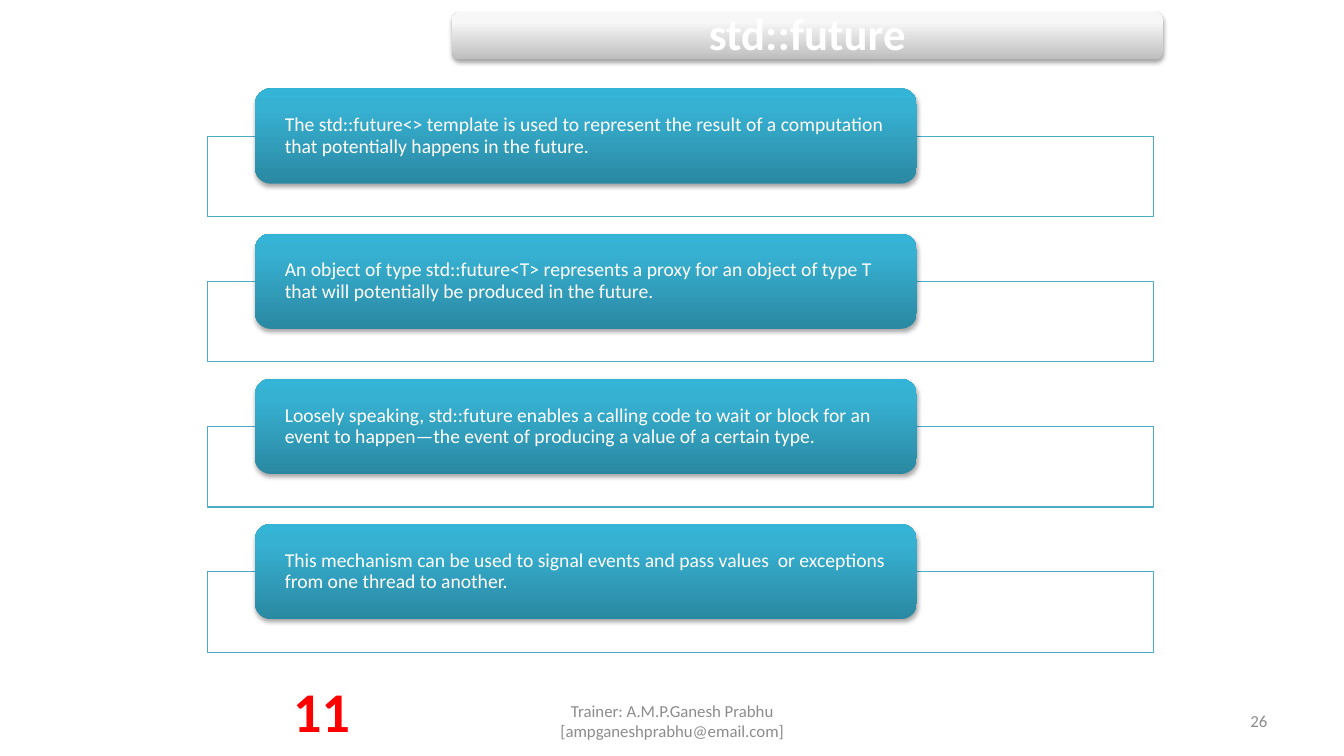
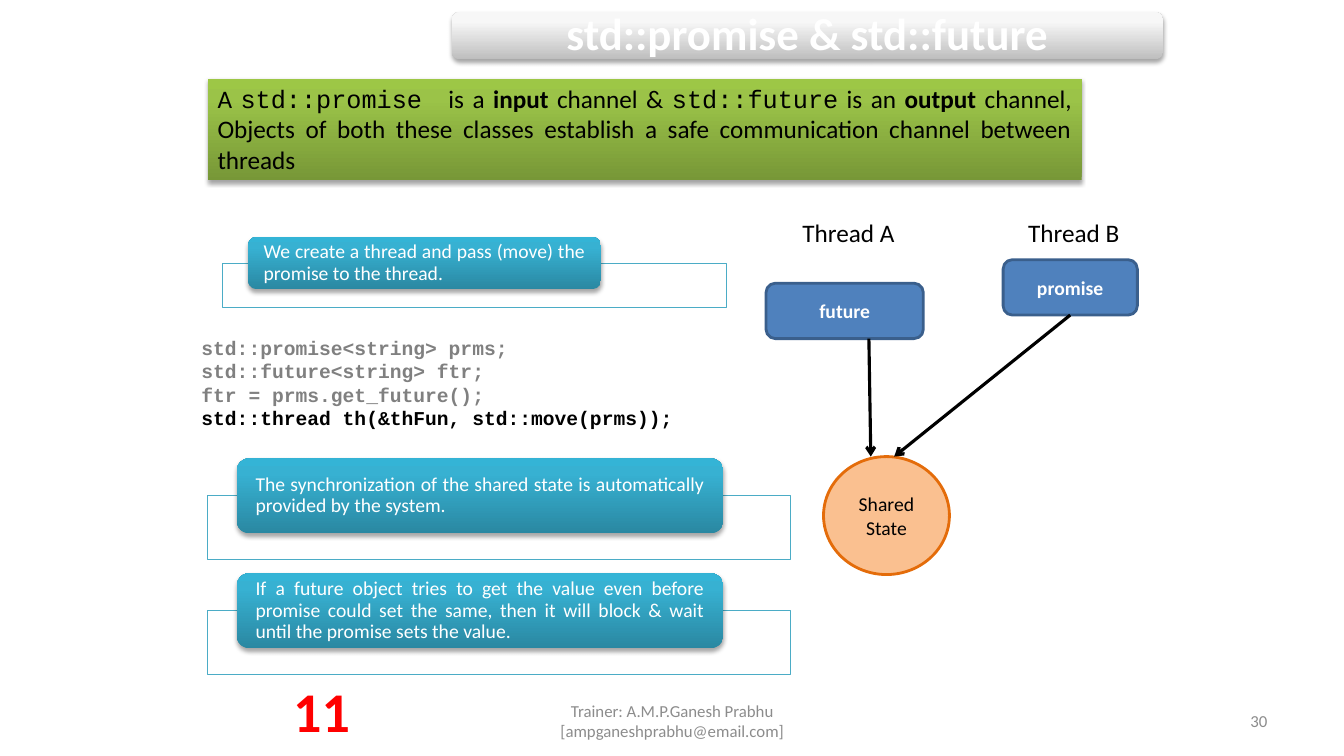
from copy import deepcopy
from dataclasses import dataclass

from lxml import etree
from pptx import Presentation
from pptx.dml.color import RGBColor
from pptx.enum.shapes import MSO_CONNECTOR, MSO_SHAPE
from pptx.enum.text import MSO_ANCHOR, PP_ALIGN
from pptx.oxml.ns import qn
from pptx.util import Inches, Pt

RECTANGLE, ROUNDED, OVAL = MSO_SHAPE.RECTANGLE, MSO_SHAPE.ROUNDED_RECTANGLE, MSO_SHAPE.OVAL
STRAIGHT = MSO_CONNECTOR.STRAIGHT
TOP, MIDDLE = MSO_ANCHOR.TOP, MSO_ANCHOR.MIDDLE
LEFT, CENTER, RIGHT, JUSTIFY = PP_ALIGN.LEFT, PP_ALIGN.CENTER, PP_ALIGN.RIGHT, PP_ALIGN.JUSTIFY
BOTTOM_SIDE = 2

BLACK, WHITE, RED, GRAY, CODE_GRAY = "000000", "FFFFFF", "FF0000", "8C8C8C", "808080"
OUTLINE_TEAL, BLUE, DARK_BLUE = "4BACC6", "4F81BD", "3A5F8C"
PEACH, ORANGE = "FAC090", "E46C0A"
TEAL_GRADIENT = ((0, "2A88A2"), (0.8, "37B1D2"), (1, "34B4D6"))
SILVER_GRADIENT = ((0, "BEBEBE"), (0.8, "F7F7F7"), (1, "F8F8F8"))
GREEN_GRADIENT = ((0, "779737"), (0.8, "9BC348"), (1, "9DC746"))

TITLE = {"size": Pt(32), "bold": True, "color": WHITE}
CARD = {"size": Pt(14), "color": WHITE}
NODE = {"size": Pt(14), "bold": True, "color": WHITE}
STATE = {"size": Pt(14), "color": BLACK}
BODY = {"size": Pt(18), "color": BLACK}
FOOTER = {"size": Pt(12), "color": GRAY}
BADGE = {"size": Pt(40), "bold": True, "color": RED}
CODE = {"size": Pt(14), "bold": True, "color": CODE_GRAY, "name": "Courier New"}
INLINE_CODE = {"name": "Courier New"}
STRONG = {"bold": True}

FOOTER_TEXT = "Trainer: A.M.P.Ganesh Prabhu [ampganeshprabhu@email.com]"
FUTURE_POINTS = [
    "The std::future<> template is used to represent the result of a computation "
    "that potentially happens in the future.",
    "An object of type std::future<T> represents a proxy for an object of type T "
    "that will potentially be produced in the future.",
    "Loosely speaking, std::future enables a calling code to wait or block for an "
    "event to happen—the event of producing a value of a certain type.",
    "This mechanism can be used to signal events and pass values  or exceptions "
    "from one thread to another.",
]
THREAD_POINTS = ["We create a thread and pass (move) the promise to the thread."]
STATE_POINTS = [
    "The synchronization of the shared state is automatically provided by the system.",
    "If a future object tries to get the value even before promise could set the same, "
    "then it will block & wait until the promise sets the value.",
]
CHANNEL_TEXT = [
    ("A ", {}), ("std::promise ", INLINE_CODE), (" is a ", {}), ("input", STRONG),
    (" channel & ", {}), ("std::future", INLINE_CODE), (" is an ", {}), ("output", STRONG),
    (" channel, Objects of both these classes establish a safe communication channel "
     "between threads", {}),
]
CODE_LINES = [
    "std::promise<string> prms;",
    "std::future<string> ftr;",
    "ftr = prms.get_future();",
    [("std::thread th(&thFun, std::move(prms));", {"color": BLACK})],
]


@dataclass
class Box:
    """A rectangle in inches; areas inside it are given in percent of its size."""
    left: float
    top: float
    width: float
    height: float

    def point(self, across, down):
        return self.left + self.width * across / 100, self.top + self.height * down / 100

    def area(self, left, top, width, height):
        return Box(*self.point(left, top), self.width * width / 100, self.height * height / 100)

    def lengths(self):
        return [Inches(value) for value in (self.left, self.top, self.width, self.height)]


PAGE = Box(0, 0, 13.33, 7.5)


def rgb(color):
    return RGBColor.from_string(color)


def write(shape, paragraphs, style, align=LEFT, anchor=TOP, insets=(0.1, 0.05), spacing=None):
    """Fill a shape with paragraphs, each a string or a list of (text, overrides)."""
    frame = shape.text_frame
    side, edge = map(Inches, insets)
    settings = {"word_wrap": True, "vertical_anchor": anchor, "margin_left": side,
                "margin_right": side, "margin_top": edge, "margin_bottom": edge}
    for name, value in settings.items():
        setattr(frame, name, value)
    for index, content in enumerate(paragraphs):
        paragraph = frame.add_paragraph() if index else frame.paragraphs[0]
        paragraph.alignment = align
        paragraph.line_spacing = spacing
        for text, overrides in [(content, {})] if isinstance(content, str) else content:
            run = paragraph.add_run()
            run.text = text
            for name, value in {"name": "Calibri", **style, **overrides}.items():
                if name == "color":
                    run.font.color.rgb = rgb(value)
                else:
                    setattr(run.font, name, value)


def add_label(slide, box, paragraphs, style, **layout):
    write(slide.shapes.add_textbox(*box.lengths()), paragraphs, style, **layout)


def add_flat(slide, kind, box, fill, line, width):
    shape = slide.shapes.add_shape(kind, *box.lengths())
    shape.shadow.inherit = False
    shape.fill.solid()
    shape.fill.fore_color.rgb = rgb(fill)
    shape.line.color.rgb = rgb(line)
    shape.line.width = Pt(width)
    return shape


def add_glossy(slide, kind, box, gradient):
    """Add a borderless shape with a bottom-to-top gradient and a soft shadow."""
    shape = slide.shapes.add_shape(kind, *box.lengths())
    shape.line.fill.background()
    shape.fill.gradient()
    shape.fill.gradient_angle = 90
    properties = shape._element.spPr
    stop_list = properties.find(".//" + qn("a:gsLst"))
    stop_list.append(deepcopy(stop_list[-1]))
    for stop, (position, color) in zip(shape.fill.gradient_stops, gradient):
        stop.position = position
        stop.color.rgb = rgb(color)
    shape.shadow.inherit = False
    shadow = etree.SubElement(properties.find(qn("a:effectLst")), qn("a:outerShdw"),
                              blurRad=str(Pt(3.1)), dist=str(Pt(1.8)), dir="5400000",
                              rotWithShape="0")
    color = etree.SubElement(shadow, qn("a:srgbClr"), val=BLACK)
    etree.SubElement(color, qn("a:alpha"), val="35000")
    return shape


def add_arrow(slide, start, end):
    arrow = slide.shapes.add_connector(STRAIGHT, *map(Inches, (*start, *end)))
    arrow.line.color.rgb = rgb(BLACK)
    arrow.line.width = Pt(2.25)
    properties = arrow._element.spPr
    etree.SubElement(properties.find(qn("a:ln")), qn("a:tailEnd"), type="arrow")
    etree.SubElement(properties, qn("a:effectLst"))
    return arrow


def add_cards(slide, first, step, points, card_width=70, inset=0.15, align=JUSTIFY):
    """Stack outlined boxes, each with a card centred on its top edge."""
    for index, point in enumerate(points):
        outline = Box(first.left, first.top + index * step, first.width, first.height)
        frame = add_flat(slide, RECTANGLE, outline, WHITE, OUTLINE_TEAL, 0.75)
        fill_color = frame._element.spPr.find(qn("a:solidFill"))[0]
        etree.SubElement(fill_color, qn("a:alpha"), val="90000")
        card = add_glossy(slide, ROUNDED, outline.area(5, -59, card_width, 118), TEAL_GRADIENT)
        write(card, [point], CARD, align, MIDDLE, (inset, 0), 0.9)


def add_thread_diagram(slide, box):
    for left, text in ((7, "Thread A"), (66.7, "Thread B")):
        add_label(slide, box.area(left, 0, 33.3, 11), [text], BODY)
    state = add_flat(slide, OVAL, box.area(15.2, 67.4, 33.3, 32.6), PEACH, ORANGE, 2)
    write(state, ["Shared State"], STATE, CENTER, MIDDLE)
    nodes = {}
    for text, place in (("promise", (62.7, 13, 35.5, 15.3)), ("future", (0, 19.5, 41.6, 15.3))):
        nodes[text] = add_flat(slide, ROUNDED, box.area(*place), BLUE, DARK_BLUE, 2)
        write(nodes[text], [text], NODE, CENTER, MIDDLE)
    promise_arrow = add_arrow(slide, box.point(80.4, 28.3), box.point(33.9, 67.4))
    promise_arrow.begin_connect(nodes["promise"], BOTTOM_SIDE)
    add_arrow(slide, box.point(27.2, 34.8), box.point(27.7, 67.4))


def add_page(presentation, title, number):
    """Add a blank slide with the title band, footer, slide number and badge."""
    slide = presentation.slides.add_slide(presentation.slide_layouts[6])
    band = add_glossy(slide, ROUNDED, PAGE.area(33.6, 1.6, 52.95, 6.27), SILVER_GRADIENT)
    write(band, [title], TITLE, CENTER, MIDDLE, (0.13, 0), 0.9)
    add_label(slide, PAGE.area(34.2, 92.67, 31.65, 5.33), [FOOTER_TEXT], FOOTER,
              align=CENTER, anchor=MIDDLE)
    add_label(slide, PAGE.area(71.7, 92.67, 23.33, 5.33), [number], FOOTER,
              align=RIGHT, anchor=MIDDLE)
    add_label(slide, PAGE.area(21, 88.8, 5.85, 10.27), ["11"], BADGE, align=CENTER)
    return slide


def build_future_slide(presentation):
    slide = add_page(presentation, "std::future", "26")
    add_cards(slide, PAGE.area(15.45, 18, 70.35, 10.67), 1.44, FUTURE_POINTS,
              inset=0.25, align=LEFT)


def build_promise_slide(presentation):
    slide = add_page(presentation, "std::promise & std::future", "30")
    banner = add_glossy(slide, RECTANGLE, PAGE.area(15.45, 10.4, 65.03, 13.47), GREEN_GRADIENT)
    write(banner, [CHANNEL_TEXT], BODY, JUSTIFY)
    add_thread_diagram(slide, PAGE.area(57, 28.13, 28.13, 47.87))
    add_cards(slide, PAGE.area(16.58, 34.8, 37.5, 5.87), 0, THREAD_POINTS, inset=0.13)
    add_label(slide, PAGE.area(14.25, 43.73, 40.43, 17.07), CODE_LINES, CODE)
    add_cards(slide, PAGE.area(15.45, 65.6, 43.35, 8.4), 1.14, STATE_POINTS, card_width=83.5)


def main():
    presentation = Presentation()
    presentation.slide_width = Inches(PAGE.width)
    presentation.slide_height = Inches(PAGE.height)
    build_future_slide(presentation)
    build_promise_slide(presentation)
    presentation.save("out.pptx")


if __name__ == "__main__":
    main()
